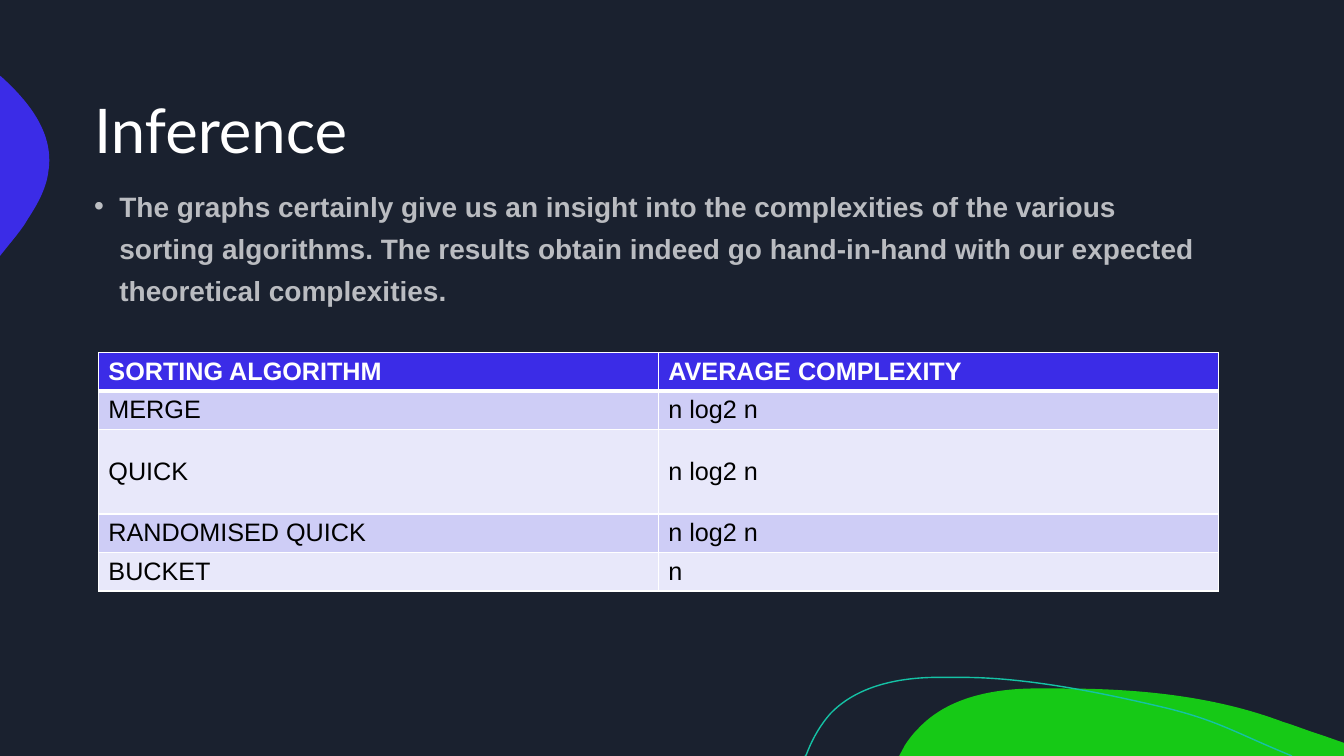
from lxml import etree
from pptx import Presentation
from pptx.dml.color import RGBColor
from pptx.enum import text
from pptx.oxml import ns
from pptx.util import Cm, Pt

# Content
TITLE = "Inference"
BODY = ("The graphs certainly give us an insight into the complexities of the various "
        "sorting algorithms. The results obtain indeed go hand-in-hand with our expected "
        "theoretical complexities.")
ROWS = [("SORTING ALGORITHM", "AVERAGE COMPLEXITY"),
        ("MERGE", "n log2 n"),
        ("QUICK", "n log2 n"),
        ("RANDOMISED QUICK", "n log2 n"),
        ("BUCKET", "n")]
ROW_HEIGHTS = [0.97, 0.97, 2.13, 0.97, 0.97]
COL_WIDTH = 14.11

NAVY, WHITE, BLACK = "1A212F", "FFFFFF", "000000"
INDIGO, GREEN, TEAL = "3B2CE7", "16C916", "15C2A5"
BANDS = ["E8E8FA", "CECDF6"]

# Outlines in cm: a start, then steps of one point (line) or three (Bezier curve)
GREEN_HILL = [(26.77, 17.35),
              [(28.65, 17.35), (30.58, 17.53), (32.33, 18.19)],
              [(32.66, 18.29), (32.97, 18.42), (33.3, 18.52)],
              [(33.87, 18.72)], [(33.87, 19.05)], [(22.66, 19.05)], [(22.81, 18.77)],
              [(22.91, 18.62), (23.01, 18.49), (23.14, 18.36)],
              [(23.85, 17.6), (24.94, 17.37), (25.98, 17.35)],
              [(26.24, 17.35), (26.49, 17.35), (26.77, 17.35)]]
INDIGO_BULGE = [(0, 1.91), [(0.03, 1.93)],
                [(0.76, 2.59), (1.37, 3.38), (1.22, 4.32)],
                [(1.17, 4.75), (0.94, 5.16), (0.69, 5.54)],
                [(0.61, 5.69), (0.43, 5.92), (0.2, 6.2)],
                [(0, 6.45)]]
TEAL_CURVE = [(20.29, 19.05), [(20.32, 19.02)],
              [(20.47, 18.62), (20.68, 18.26), (20.93, 17.98)],
              [(21.59, 17.3), (22.58, 17.09), (23.52, 17.07)],
              [(24.26, 17.07)],
              [(25.96, 17.07), (27.94, 17.5), (29.34, 17.83)],
              [(30.71, 18.16), (31.14, 18.47), (32.56, 19.05)]]


def paint(fill, color):
    """Give any fill a solid hex colour."""
    fill.solid()
    fill.fore_color.rgb = RGBColor.from_string(color)


def add_outline(s, outline, fill=None, line=None):
    start, *steps = outline
    points = [(Cm(x), Cm(y)) for step in steps for x, y in step]
    builder = s.shapes.build_freeform(Cm(start[0]), Cm(start[1]), scale=1.0)
    builder.add_line_segments(points, close=fill is not None)
    sp = builder.convert_to_shape()
    # Join each three points of a curve step into one Bezier segment
    segments = iter(list(sp._element.iter(ns.qn("a:lnTo"))))
    for step in steps:
        group = [next(segments) for _ in step]
        if len(group) == 3:
            curve = etree.Element(ns.qn("a:cubicBezTo"))
            group[0].addprevious(curve)
            for segment in group:
                curve.append(segment[0])
                segment.getparent().remove(segment)
    sp.shadow.inherit = False
    if fill:
        paint(sp.fill, fill)
    else:
        sp.fill.background()
    if line:
        paint(sp.line.fill, line)
        sp.line.width = Pt(1)
    else:
        sp.line.fill.background()


def add_text(s, box, words, font, size, spacing, bold=False):
    tf = s.shapes.add_textbox(*map(Cm, box)).text_frame
    tf.word_wrap = True
    p = tf.paragraphs[0]
    p.text = words
    p.line_spacing = spacing
    style(p, font, size, WHITE, bold)
    return tf


def style(p, font, size, color, bold):
    p.font.name, p.font.size, p.font.bold = font, Pt(size), bold
    paint(p.font.fill, color)


def add_border(cell, side, points):
    tcPr = cell._tc.get_or_add_tcPr()
    ln = etree.SubElement(tcPr, ns.qn("a:ln" + side), w=str(Pt(points)))
    fill = etree.SubElement(ln, ns.qn("a:solidFill"))
    etree.SubElement(fill, ns.qn("a:srgbClr"), val=WHITE)


def main():
    prs = Presentation()
    prs.slide_width, prs.slide_height = Cm(33.87), Cm(19.05)
    s = prs.slides.add_slide(prs.slide_layouts[6])
    paint(s.background.fill, NAVY)

    # Decoration
    add_outline(s, GREEN_HILL, fill=GREEN)
    add_outline(s, INDIGO_BULGE, fill=INDIGO)
    add_outline(s, TEAL_CURVE, line=TEAL)

    # Title
    tf = add_text(s, (2.12, 2.13, 29.63, 2.46), TITLE, "Lato", 44, 0.9)
    tf.vertical_anchor = text.MSO_ANCHOR.MIDDLE

    # Bulleted statement in translucent white
    tf = add_text(s, (2.12, 4.44, 29.63, 12.52), BODY, "Arial", 20, 1.25, bold=True)
    tf.margin_right = Cm(1.46)
    p = tf.paragraphs[0]
    p.space_before = Pt(10)
    pPr = p._p.get_or_add_pPr()
    pPr.set("marL", str(Cm(0.64)))
    pPr.set("indent", str(-Cm(0.64)))
    bullet_font = etree.Element(ns.qn("a:buFont"), typeface="Arial")
    bullet = etree.Element(ns.qn("a:buChar"), char="•")
    pPr.find(ns.qn("a:spcBef")).addnext(bullet_font)
    bullet_font.addnext(bullet)
    for color in pPr.iter(ns.qn("a:srgbClr")):
        etree.SubElement(color, ns.qn("a:alpha"), val="70000")

    # Table
    table = s.shapes.add_table(len(ROWS), 2, Cm(2.48), Cm(8.88),
                               Cm(2 * COL_WIDTH), Cm(sum(ROW_HEIGHTS))).table
    for col in table.columns:
        col.width = Cm(COL_WIDTH)
    for i, (row, height) in enumerate(zip(ROWS, ROW_HEIGHTS)):
        table.rows[i].height = Cm(height)
        head = i == 0
        for j, words in enumerate(row):
            cell = table.cell(i, j)
            cell.text = words
            cell.vertical_anchor = text.MSO_ANCHOR.MIDDLE
            cell.margin_top = cell.margin_bottom = Cm(0.09)
            style(cell.text_frame.paragraphs[0], "Arial", 18, WHITE if head else BLACK, head)
            for side in "LRTB":
                thick = (i, side) in ((0, "B"), (1, "T"))
                add_border(cell, side, 3 if thick else 1)
            paint(cell.fill, INDIGO if head else BANDS[i % 2])

    prs.save("out.pptx")


if __name__ == "__main__":
    main()
